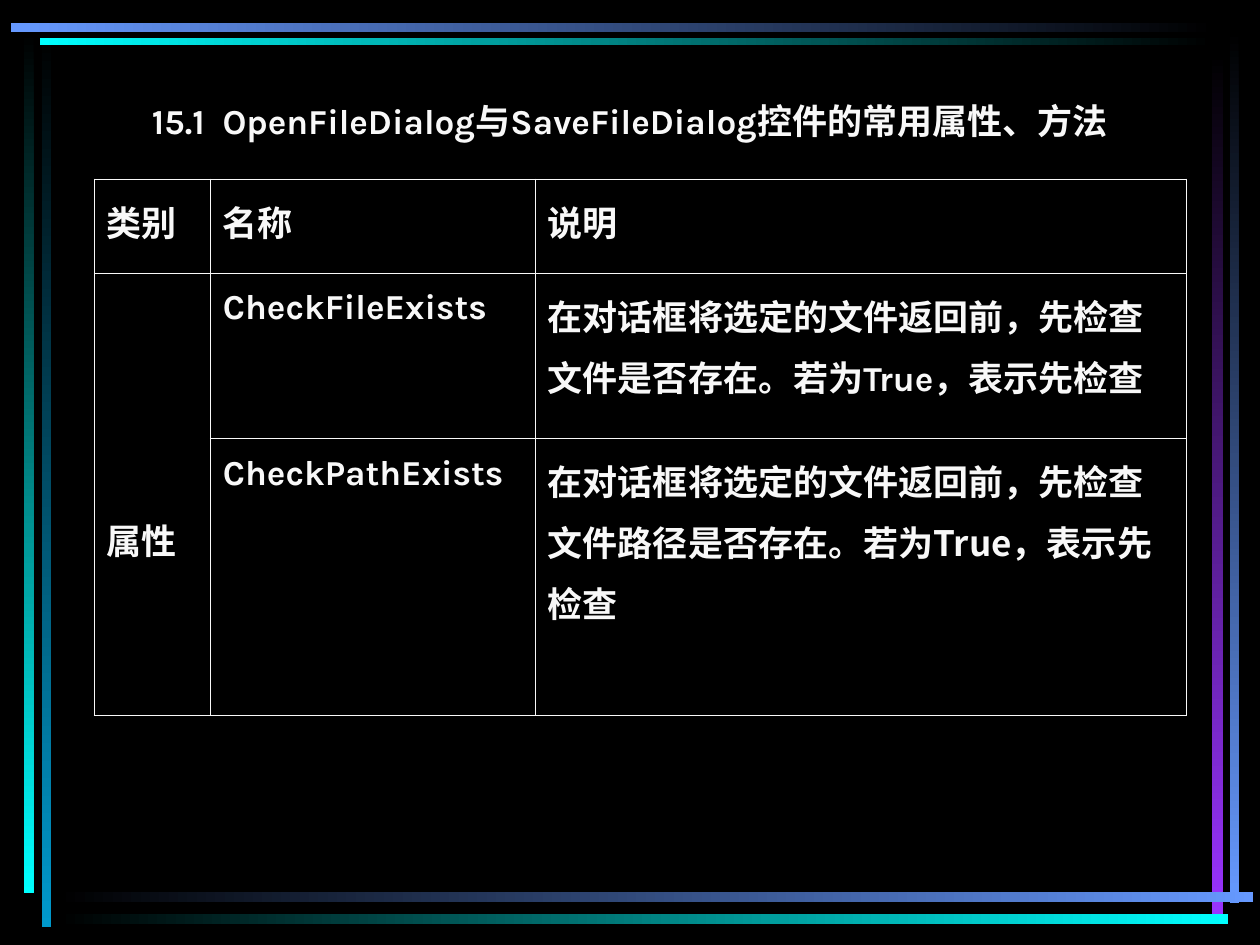
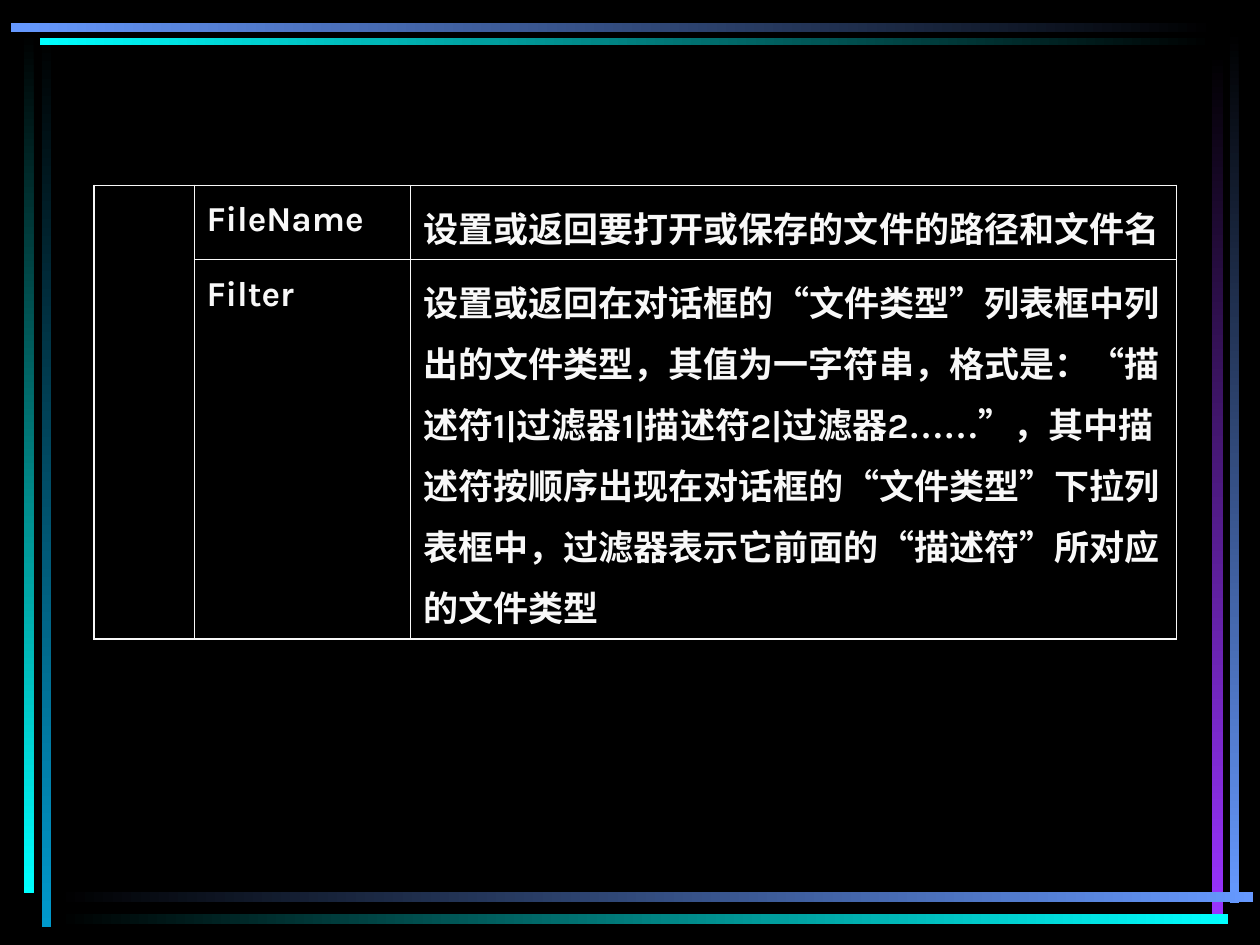
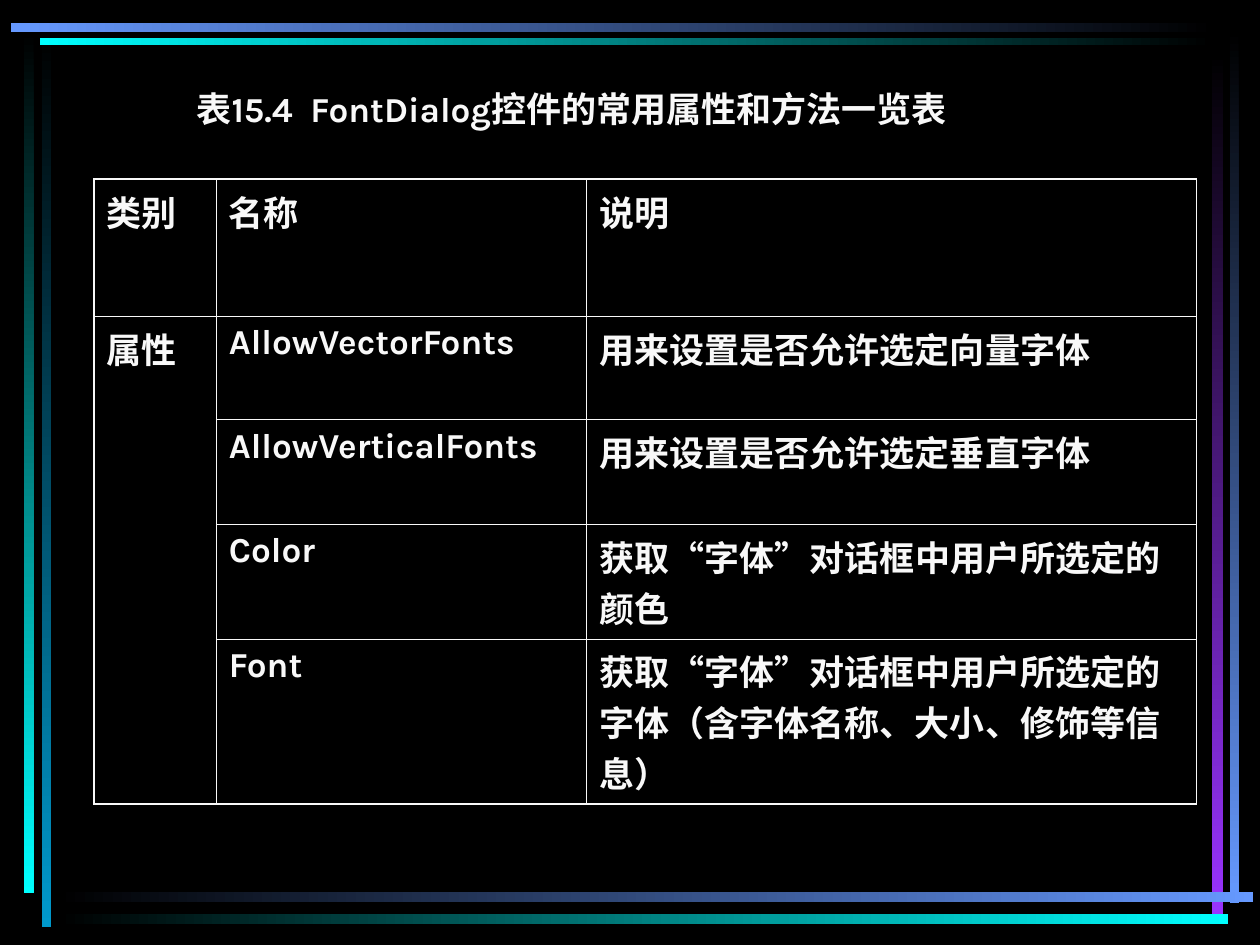
"""Build three dark slides with tables on dialog controls."""
from itertools import groupby

from lxml import etree
from pptx import Presentation
from pptx.dml.color import RGBColor
from pptx.enum.shapes import MSO_SHAPE
from pptx.enum.text import MSO_ANCHOR, MSO_AUTO_SIZE, PP_ALIGN
from pptx.oxml.ns import qn
from pptx.util import Cm, Pt

RECT = MSO_SHAPE.RECTANGLE
MIDDLE = MSO_ANCHOR.MIDDLE
FIXED = MSO_AUTO_SIZE.NONE
LEFT, CENTER = PP_ALIGN.LEFT, PP_ALIGN.CENTER

COLORS = {
    "back": "000000", "text": "F8F8F8", "cyan": "00FFFF",
    "teal": "0099CC", "blue": "6699FF", "violet": "9933FF",
}
LATIN, HAN, MARK = "Karla", "Noto Sans CJK SC", "Times New Roman"
MARKS = "“”…"
THIN, THICK = 0.45, 1.08
TITLE_ONLY, BLANK = 5, 6
RIGHT, DOWN = 0, 270

BARS = [
    ((0.84, 0.71, 0.2, 17.98), "back", "teal", DOWN),
    ((0.48, 0.64, 0.2, 17.37), "back", "cyan", DOWN),
    ((24.79, 0.61, 0.18, 17.6), "back", "blue", DOWN),
    ((24.43, 1.07, 0.23, 17.35), "back", "violet", DOWN),
    ((1.14, 17.98, 24.13, 0.2), "back", "blue", RIGHT),
    ((1.14, 18.42, 23.62, 0.2), "back", "cyan", RIGHT),
    ((0.81, 0.76, 23.67, 0.15), "cyan", "back", RIGHT),
    ((0.22, 0.47, 24.28, 0.18), "blue", "back", RIGHT),
]

HEAD = ("类别", "名称", "说明")
SLIDES = [
    {
        "title": "15.1  OpenFileDialog与SaveFileDialog控件的常用属性、方法",
        "box": (1.27, 1.7, 22.86, 1.27), "align": CENTER, "inset": 0.25,
        "top": 3.61, "cols": (2.34, 6.55, 13.13), "rows": (1.9, 3.33, 5.59),
        "span": 1, "drop": 4.65, "thick": "", "pitch": 1.2,
        "han": [(2, 2)],
        "cells": [
            HEAD,
            ("属性", "CheckFileExists",
             "在对话框将选定的文件返回前，先检查文件是否存在。若为True，表示先检查"),
            ("", "CheckPathExists",
             "在对话框将选定的文件返回前，先检查文件路径是否存在。若为True，表示先检查"),
        ],
    },
    {
        "top": 3.73, "cols": (2.01, 4.37, 15.44), "rows": (1.5, 7.65),
        "span": 0, "drop": 0.13, "thick": "LRB", "pitch": 1.2, "han": [],
        "cells": [
            ("", "FileName", "设置或返回要打开或保存的文件的路径和文件名"),
            ("", "Filter",
             "设置或返回在对话框的“文件类型”列表框中列出的文件类型，其值为一字符串，"
             "格式是：“描述符1|过滤器1|描述符2|过滤器2……”，其中描述符按顺序出现在"
             "对话框的“文件类型”下拉列表框中，过滤器表示它前面的“描述符”所对应的文件类型"),
        ],
    },
    {
        "title": "表15.4  FontDialog控件的常用属性和方法一览表",
        "box": (2.74, 1.47, 19.69, 1.27), "align": LEFT, "inset": 1.22,
        "top": 3.61, "cols": (2.46, 7.47, 12.29),
        "rows": (2.77, 2.08, 2.11, 2.31, 3.33),
        "span": 1, "drop": 0.13, "thick": "LTRB", "pitch": 1.0, "han": [],
        "cells": [
            HEAD,
            ("属性", "AllowVectorFonts", "用来设置是否允许选定向量字体"),
            ("", "AllowVerticalFonts", "用来设置是否允许选定垂直字体"),
            ("", "Color", "获取“字体”对话框中用户所选定的颜色"),
            ("", "Font",
             "获取“字体”对话框中用户所选定的字体（含字体名称、大小、修饰等信息）"),
        ],
    },
]


def rgb(name):
    return RGBColor.from_string(COLORS[name])


def write(frame, text, pitch, font=LATIN, align=LEFT):
    para = frame.paragraphs[0]
    para.alignment = align
    para.line_spacing = pitch
    para.font.size = Pt(20)
    para.font.bold = True
    para.font.name = font
    para.font.color.rgb = rgb("text")
    props = para._p.pPr.find(qn("a:defRPr"))
    etree.SubElement(props, qn("a:ea")).set("typeface", HAN)
    for mark, chars in groupby(text, lambda char: char in MARKS):
        run = para.add_run()
        run.text = "".join(chars)
        if mark:
            run.font.name = MARK


def add_bars(slide, master):
    tree = master.element.cSld.spTree
    for i, (box, start, end, angle) in enumerate(BARS):
        bar = slide.shapes.add_shape(RECT, *map(Cm, box))
        bar.shadow.inherit = False
        bar.line.fill.background()
        bar.fill.gradient()
        bar.fill.gradient_angle = angle
        for stop, name in zip(bar.fill.gradient_stops, (start, end)):
            stop.color.rgb = rgb(name)
        bar.element.nvSpPr.cNvPr.id = 20 + i
        tree.insert(2 + i, bar.element)


def add_title(slide, data):
    title = slide.shapes.title
    title.left, title.top, title.width, title.height = map(Cm, data["box"])
    frame = title.text_frame
    frame.auto_size = FIXED
    frame.vertical_anchor = MIDDLE
    frame.margin_left = Cm(data["inset"])
    write(frame, data["title"], 1.2, align=data["align"])


def rule_cell(cell, sides, thick):
    props = cell._tc.get_or_add_tcPr()
    for i, side in enumerate(sides):
        line = etree.Element(qn(f"a:ln{side}"))
        line.set("w", str(Pt(THICK if side in thick else THIN)))
        fill = etree.SubElement(line, qn("a:solidFill"))
        etree.SubElement(fill, qn("a:srgbClr")).set("val", COLORS["text"])
        props.insert(i, line)


def add_table(slide, data):
    cols, rows, span = data["cols"], data["rows"], data["span"]
    last, end = len(rows) - 1, len(cols) - 1
    table = slide.shapes.add_table(
        len(rows), len(cols), Cm(1.9), Cm(data["top"]),
        Cm(sum(cols)), Cm(sum(rows))).table
    table.first_row = table.horz_banding = False
    for col, width in zip(table.columns, cols):
        col.width = Cm(width)
    for row, height in zip(table.rows, rows):
        row.height = Cm(height)
    table.cell(span, 0).merge(table.cell(last, 0))
    for r, texts in enumerate(data["cells"]):
        for c, text in enumerate(texts):
            cell = table.cell(r, c)
            cell.fill.background()
            low = last if cell.is_merge_origin else r
            edges = {"L": c == 0, "R": c == end, "T": r == 0, "B": low == last}
            thick = [s for s in data["thick"] if edges[s]]
            sides = "LRTB"
            if cell.is_spanned:
                sides = "LRB" if r == last else "LR"
            rule_cell(cell, sides, thick)
            if text:
                font = HAN if (r, c) in data["han"] else LATIN
                write(cell.text_frame, text, data["pitch"], font)
                cell.text_frame.paragraphs[0].space_before = Pt(5)
    table.cell(span, 0).margin_top = Cm(data["drop"])


def main():
    prs = Presentation()
    prs.slide_width, prs.slide_height = Cm(25.4), Cm(19.05)
    master = prs.slide_master
    master.background.fill.solid()
    master.background.fill.fore_color.rgb = rgb("back")
    for i, data in enumerate(SLIDES):
        kind = TITLE_ONLY if "title" in data else BLANK
        slide = prs.slides.add_slide(prs.slide_layouts[kind])
        if i == 0:
            add_bars(slide, master)
        if "title" in data:
            add_title(slide, data)
        add_table(slide, data)
    prs.save("out.pptx")


if __name__ == "__main__":
    main()
